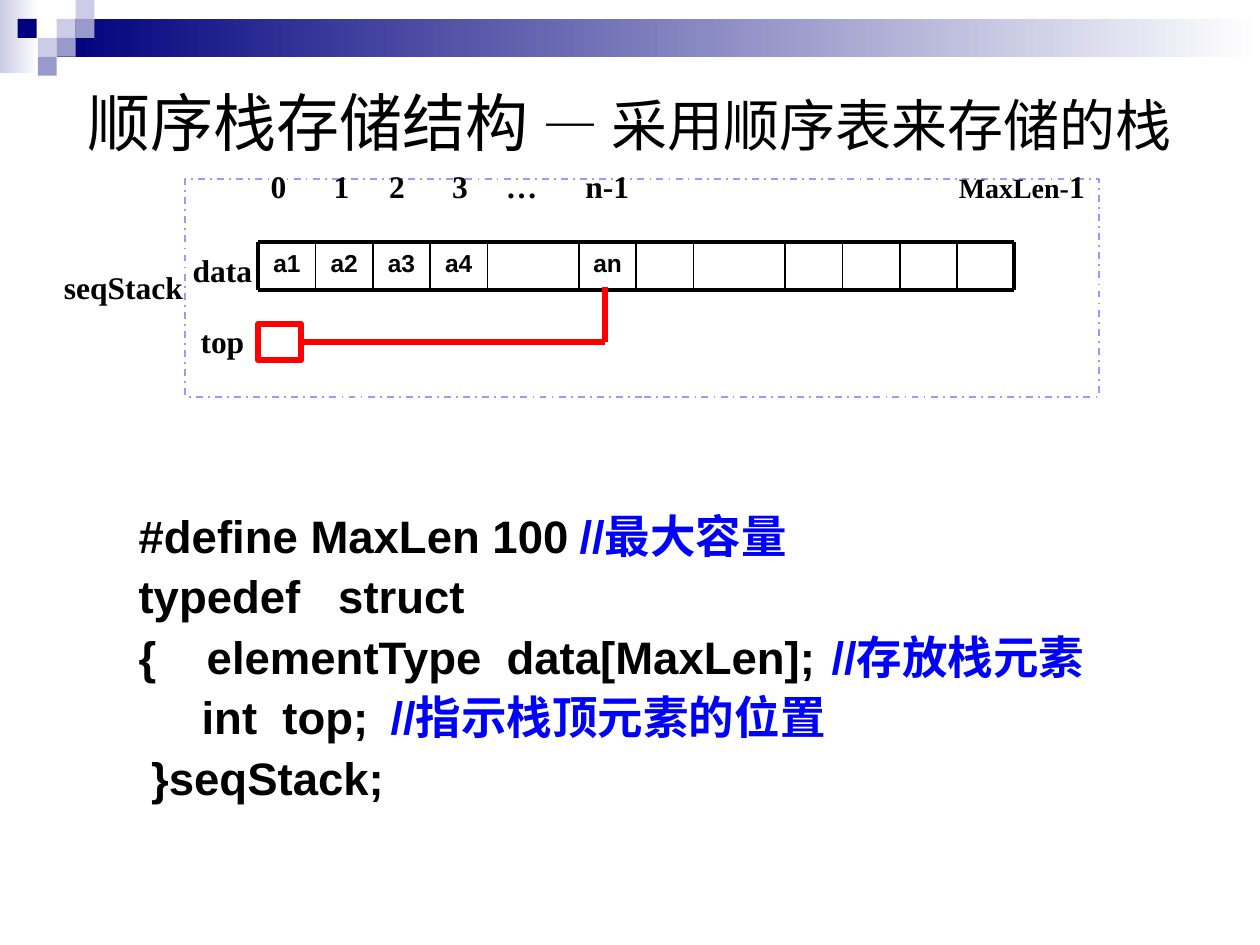
from itertools import accumulate

from lxml.etree import SubElement
from pptx import Presentation
from pptx.dml.color import RGBColor
from pptx.enum.dml import MSO_LINE
from pptx.enum.shapes import MSO_CONNECTOR, MSO_SHAPE
from pptx.enum.text import MSO_ANCHOR, MSO_AUTO_SIZE, PP_ALIGN
from pptx.oxml.ns import qn
from pptx.util import Inches, Pt

BLACK, WHITE, RED, BLUE = "000000", "FFFFFF", "FF0000", "0000FF"
NAVY, LILAC, VIOLET, FRAME = "00007D", "CCCCE6", "9999CC", "9999FF"
SANS, SERIF = "Arial", "Times New Roman"


def colour(value):
    return RGBColor.from_string(value)


def grid(*cells):
    return [Inches(cell / 10) for cell in cells]


class StackSlide:
    """Style and current slide, measured on a grid of 100 columns by 75 rows."""

    def __init__(self, presentation):
        self.slide = presentation.slides.add_slide(presentation.slide_layouts[1])
        self.shapes = self.slide.shapes

    def place(self, shape, box):
        shape.left, shape.top, shape.width, shape.height = grid(*box)
        shape.text_frame.auto_size = MSO_AUTO_SIZE.NONE
        shape.text_frame.word_wrap = True
        return shape.text_frame

    def add_runs(self, paragraph, runs, font, bold=True):
        for text, size, value in runs:
            run = paragraph.add_run()
            run.text = text
            run.font.name = font
            run.font.size = Pt(size)
            run.font.bold = bold
            run.font.color.rgb = colour(value)

    def set_tabs(self, paragraph, stops):
        properties = paragraph._p.get_or_add_pPr()
        tab_list = SubElement(properties, qn("a:tabLst"))
        for column, alignment in stops:
            SubElement(tab_list, qn("a:tab"), pos=str(grid(column)[0]), algn=alignment)

    def title(self, box, runs):
        frame = self.place(self.shapes.title, box)
        frame.vertical_anchor = MSO_ANCHOR.MIDDLE
        frame.paragraphs[0].alignment = PP_ALIGN.CENTER
        self.add_runs(frame.paragraphs[0], runs, SANS, bold=False)

    def code(self, box, left, top, lines):
        frame = self.place(self.slide.placeholders[1], box)
        frame.margin_left, frame.margin_top = grid(left, top)
        for number, (source, comment, column) in enumerate(lines):
            paragraph = frame.add_paragraph() if number else frame.paragraphs[0]
            paragraph.level = 1
            properties = paragraph._p.get_or_add_pPr()
            properties.set("marL", "0")
            properties.set("indent", "0")
            SubElement(properties, qn("a:buNone"))
            runs = [(source, 26, BLACK)]
            if comment:
                self.set_tabs(paragraph, [(column, "l")])
                runs = [(source + "\t", 26, BLACK), (comment, 26, BLUE)]
            paragraph.line_spacing = 0.9
            paragraph.space_before = Pt(6.5 if number else 0)
            self.add_runs(paragraph, runs, SANS)

    def label(self, box, runs, font, stops=()):
        shape = self.shapes.add_textbox(0, 0, 0, 0)
        frame = self.place(shape, box)
        frame.margin_left = frame.margin_right = 0
        paragraph = frame.paragraphs[0]
        if stops:
            self.set_tabs(paragraph, stops)
        paragraph.alignment = PP_ALIGN.LEFT if stops else PP_ALIGN.CENTER
        self.add_runs(paragraph, runs, font)

    def rectangle(self, box, fill, fade=None, line=None, width=1, dash=None):
        shape = self.shapes.add_shape(MSO_SHAPE.RECTANGLE, *grid(*box))
        shape.shadow.inherit = False
        if fade:
            shape.fill.gradient()
            shape.fill.gradient_angle = 0
            for stop, value in zip(shape.fill.gradient_stops, (fill, fade)):
                stop.color.rgb = colour(value)
        else:
            shape.fill.solid()
            shape.fill.fore_color.rgb = colour(fill)
        if line:
            shape.line.color.rgb = colour(line)
            shape.line.width = Pt(width)
            shape.line.dash_style = dash
        else:
            shape.line.fill.background()
        return shape

    def line(self, start, end, value, width):
        connector = self.shapes.add_connector(
            MSO_CONNECTOR.STRAIGHT, *grid(*start, *end))
        connector.line.color.rgb = colour(value)
        connector.line.width = Pt(width)
        SubElement(connector._element.spPr, qn("a:effectLst"))
        return connector


def draw_header(page):
    page.rectangle((0, 0, 3.1, 5.8), LILAC, fade=WHITE)
    page.rectangle((4.5, 1.5, 95.5, 3), NAVY, fade=WHITE)
    squares = [(4.5, 1.5, LILAC), (6, 0, LILAC), (6, 1.5, VIOLET), (3, 3, LILAC),
               (1.4, 1.5, NAVY), (4.5, 3, VIOLET), (3, 4.5, VIOLET)]
    for left, top, fill in squares:
        page.rectangle((left, top, 1.5, 1.5), fill)


def draw_array(page):
    left, right, top, bottom = 20.5, 80.5, 19.2, 23
    shares = [1, 1, 1, 1, 1.6, 1, 1, 1.6, 1, 1, 1, 1]
    unit = (right - left) / sum(shares)
    edges = list(accumulate((share * unit for share in shares), initial=left))
    for index, name in enumerate(["a1", "a2", "a3", "a4", None, "an"]):
        if name:
            box = (edges[index], top, unit, 3.7)
            page.label(box, [(name, 14, BLACK)], SANS)
    for row in (top, bottom):
        page.line((left, row), (right, row), BLACK, 2.25)
    for edge in edges:
        width = 2.25 if edge in (edges[0], edges[-1]) else 1
        page.line((edge, top), (edge, bottom), BLACK, width)


def draw_structure(page):
    page.rectangle((14.7, 14.2, 72.5, 17.3), WHITE, line=FRAME, dash=MSO_LINE.DASH_DOT)
    draw_array(page)
    centres = [1.6, 6.6, 11, 16, 20.9, 27.7]
    stops = [(centre, "ctr") for centre in centres] + [(65.6, "r")]
    indexes = "".join("\t" + name for name in ["0", "1", "2", "3", "…", "n-1"])
    runs = [(indexes + "\t", 18, BLACK), ("MaxLen-", 16, BLACK), ("1", 18, BLACK)]
    page.label((20.5, 12.8, 67.5, 4), runs, SERIF, stops)
    top_box = page.rectangle((20.5, 25.7, 3.4, 2.9), WHITE, line=RED, width=3.5)
    pointer = page.line((23.9, 27.15), (48, 27.15), RED, 3.5)
    pointer.begin_connect(top_box, 3)
    page.line((48, 22.8), (48, 27.15), RED, 3.5)
    names = [("data", 13.9, 19.4, 7.5), ("top", 13.9, 25.1, 7.5), ("seqStack", 3.3, 20.8, 13)]
    for name, left, top, width in names:
        page.label((left, top, width, 4), [(name, 18, BLACK)], SERIF)


def main():
    presentation = Presentation()
    presentation.slide_width, presentation.slide_height = grid(100, 75)
    page = StackSlide(presentation)
    draw_header(page)
    page.title((5, 5, 90, 9.2), [("顺序栈存储结构 ", 36, BLACK),
                                 ("— 采用顺序表来存储的栈", 32, BLACK)])
    page.code((5, 14.2, 90, 53.3), 6, 26.6, [
        ("#define MaxLen 100", "//最大容量", 57.3),
        ("typedef   struct", None, None),
        ("{    elementType  data[MaxLen];", "//存放栈元素", 59.2),
        ("     int  top;", "//指示栈顶元素的位置", 46.4),
        (" }seqStack;", None, None),
    ])
    draw_structure(page)
    presentation.save("out.pptx")


if __name__ == "__main__":
    main()
